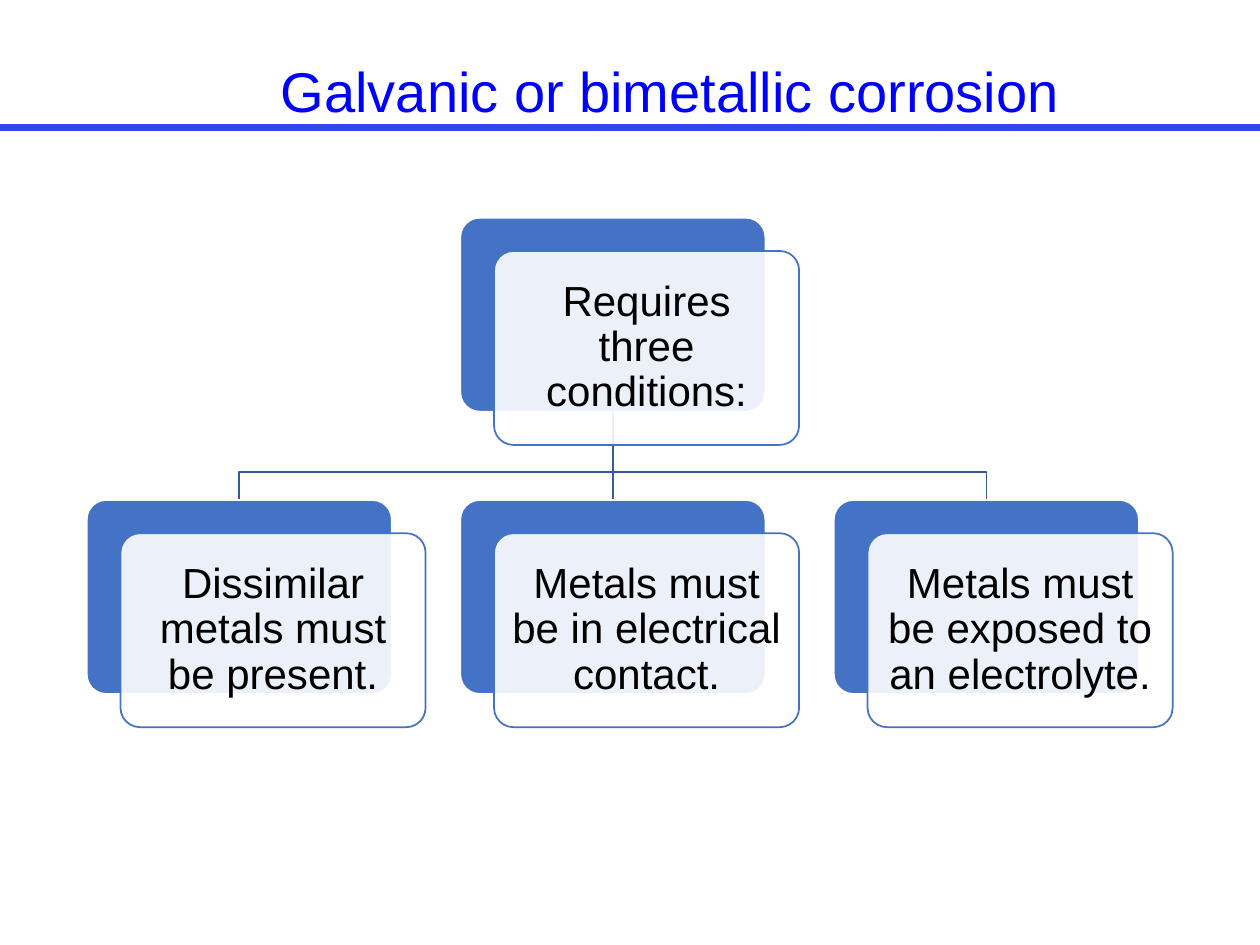
from dataclasses import dataclass

from lxml.etree import SubElement
from pptx import Presentation
from pptx.dml.color import RGBColor
from pptx.enum.shapes import MSO_CONNECTOR, MSO_SHAPE
from pptx.enum.text import MSO_ANCHOR, PP_ALIGN
from pptx.oxml.ns import qn
from pptx.util import Cm, Pt

COLORS = {
    "title": "0000FF",
    "rule": "3344F5",
    "branch": "365B9D",
    "card": "4472C4",
    "white": "FFFFFF",
    "text": "000000",
}

# All lengths below are in centimetres.
CARD_WIDTH, CARD_HEIGHT = 6.15, 3.91
FRONT_DX, FRONT_DY = 0.68, 0.67
TEXT_INSET = 0.11
COLUMN_STEP = 7.53
FIRST_LEFT = 1.75
ROOT_TOP, CONDITION_TOP = 4.39, 10.08
BEND_Y = 9.52


@dataclass(frozen=True)
class Card:
    text: str
    column: int
    top: float

    @property
    def left(self) -> float:
        return FIRST_LEFT + self.column * COLUMN_STEP

    @property
    def center(self) -> float:
        return self.left + CARD_WIDTH / 2


ROOT = Card("Requires three conditions:", 1, ROOT_TOP)
CONDITIONS = [
    Card(text, column, CONDITION_TOP)
    for column, text in enumerate([
        "Dissimilar metals must be present.",
        "Metals must be in electrical contact.",
        "Metals must be exposed to an electrolyte.",
    ])
]


def rgb(name: str) -> RGBColor:
    return RGBColor.from_string(COLORS[name])


def style_line(shape, color: str, width: float) -> None:
    shape.line.color.rgb = rgb(color)
    shape.line.width = Pt(width)


def add_text(slide, text: str, left: float, top: float, width: float, height: float, *,
             size: float, color: str, align=PP_ALIGN.LEFT, anchor=MSO_ANCHOR.TOP,
             spacing: float = 1.0, margin: float = 0.25, wrap: bool = True) -> None:
    box = slide.shapes.add_textbox(Cm(left), Cm(top), Cm(width), Cm(height))
    frame = box.text_frame
    frame.word_wrap = wrap
    frame.vertical_anchor = anchor
    frame.margin_left = frame.margin_right = Cm(margin)
    frame.margin_top = frame.margin_bottom = Cm(min(margin, 0.25))
    paragraph = frame.paragraphs[0]
    paragraph.alignment = align
    paragraph.line_spacing = spacing
    run = paragraph.add_run()
    run.text = text
    run.font.name = "Arial"
    run.font.size = Pt(size)
    run.font.color.rgb = rgb(color)


def add_straight_line(slide, x1: float, y1: float, x2: float, y2: float, *,
                      color: str, width: float) -> None:
    line = slide.shapes.add_connector(MSO_CONNECTOR.STRAIGHT, Cm(x1), Cm(y1), Cm(x2), Cm(y2))
    style_line(line, color, width)
    SubElement(line._element.spPr, qn("a:effectLst"))


def add_branch(slide, parent: Card, child: Card) -> None:
    """Join the bottom of the parent to the top of the child, with a bend if needed."""
    start_y = parent.top + CARD_HEIGHT
    if child.column == parent.column:
        add_straight_line(slide, parent.center, start_y, child.center, child.top,
                          color="branch", width=1)
        return
    builder = slide.shapes.build_freeform(Cm(parent.center), Cm(start_y))
    corners = [(parent.center, BEND_Y), (child.center, BEND_Y), (child.center, child.top)]
    builder.add_line_segments([(Cm(x), Cm(y)) for x, y in corners], close=False)
    branch = builder.convert_to_shape()
    branch.shadow.inherit = False
    branch.fill.background()
    style_line(branch, "branch", 1)


def add_panel(slide, left: float, top: float, *, fill: str, line: str,
              opacity: int = 100) -> None:
    panel = slide.shapes.add_shape(MSO_SHAPE.ROUNDED_RECTANGLE, Cm(left), Cm(top),
                                   Cm(CARD_WIDTH), Cm(CARD_HEIGHT))
    panel.adjustments[0] = 0.1
    panel.shadow.inherit = False
    panel.fill.solid()
    panel.fill.fore_color.rgb = rgb(fill)
    if opacity < 100:
        fill_color = panel._element.spPr.find(qn("a:solidFill")).find(qn("a:srgbClr"))
        SubElement(fill_color, qn("a:alpha"), val=str(opacity * 1000))
    style_line(panel, line, 1)


def add_card(slide, card: Card) -> None:
    front_left, front_top = card.left + FRONT_DX, card.top + FRONT_DY
    add_panel(slide, card.left, card.top, fill="card", line="white")
    add_panel(slide, front_left, front_top, fill="white", line="card", opacity=90)
    add_text(slide, card.text, front_left + TEXT_INSET, front_top + TEXT_INSET,
             CARD_WIDTH - 2 * TEXT_INSET, CARD_HEIGHT - 2 * TEXT_INSET,
             size=24, color="text", align=PP_ALIGN.CENTER, anchor=MSO_ANCHOR.MIDDLE,
             spacing=0.9)


def main() -> None:
    presentation = Presentation()
    presentation.slide_width, presentation.slide_height = Cm(25.4), Cm(19.05)
    slide = presentation.slides.add_slide(presentation.slide_layouts[6])

    add_straight_line(slide, 25.4, 2.58, 0, 2.58, color="rule", width=4)
    add_text(slide, "Galvanic or bimetallic corrosion", 5.41, 0.89, 16.4, 1.63,
             size=32, color="title", wrap=False)
    for condition in reversed(CONDITIONS):
        add_branch(slide, ROOT, condition)
    for card in [ROOT, *CONDITIONS]:
        add_card(slide, card)

    presentation.save("out.pptx")


if __name__ == "__main__":
    main()
